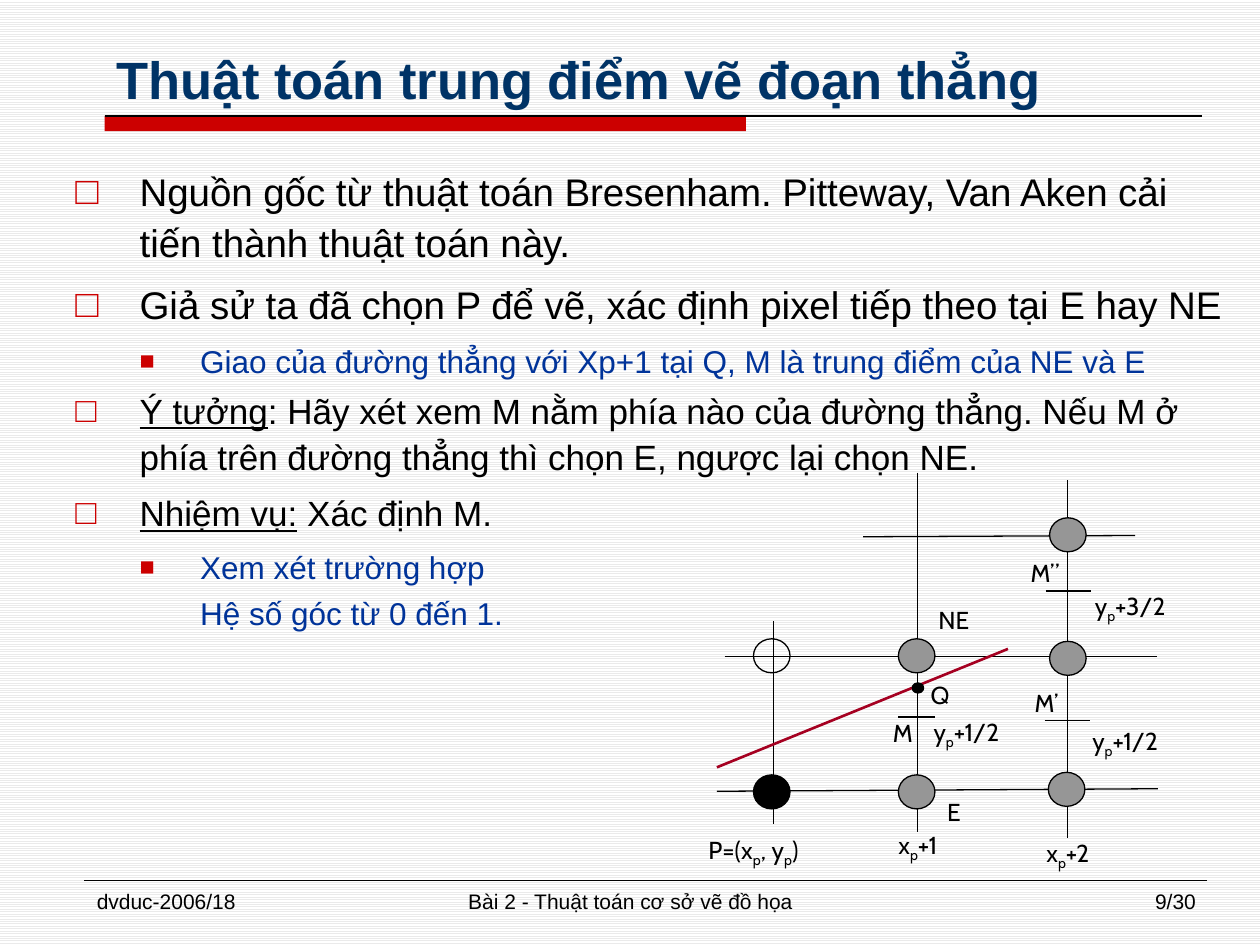
from dataclasses import dataclass
from typing import Any, Optional

from lxml import etree
from pptx import Presentation
from pptx import util as u
from pptx.dml import color
from pptx.enum import dml, shapes, text
from pptx.oxml import ns


@dataclass(frozen=True)
class Theme:
    """Colours, fonts and type sizes of the slide."""
    ink: str = "000000"
    heading: str = "003366"
    detail: str = "003399"
    accent: str = "CC0000"
    slope: str = "A50021"
    pixel: str = "969696"
    paper: str = "FFFFFF"
    stripe: str = "EAEAEA"
    body_font: str = "Arial"
    label_font: str = "Cabin"
    title_size: float = 30
    label_size: float = 14
    footer_size: float = 12


THEME = Theme()
LEFT, CENTER, RIGHT = text.PP_ALIGN.LEFT, text.PP_ALIGN.CENTER, text.PP_ALIGN.RIGHT


@dataclass(frozen=True)
class Point:
    """One outline entry, with an optional underlined lead."""
    words: str
    size: float
    lead: str = ""
    level: int = 0
    bullet: bool = True


@dataclass(frozen=True)
class Segment:
    """A straight line between two points."""
    x1: float
    y1: float
    x2: float
    y2: float
    ink: str = THEME.ink
    weight: float = 0.75


@dataclass(frozen=True)
class Dot:
    """An ellipse given by its corner; no fill means hollow."""
    x: float
    y: float
    fill: Optional[str] = THEME.pixel
    width: float = 0.29
    height: float = 0.27


@dataclass(frozen=True)
class Caption:
    """A single-line text; "_p" marks a subscript p."""
    words: str
    x: float
    y: float
    width: float
    height: float = 0.4
    align: Any = CENTER
    font: str = THEME.label_font
    size: float = THEME.label_size
    ink: str = THEME.ink
    bold: bool = False
    anchor: Any = text.MSO_ANCHOR.TOP


OUTLINE = [
    Point("Nguồn gốc từ thuật toán Bresenham. Pitteway, Van Aken cải tiến thành thuật toán này.", 22),
    Point("Giả sử ta đã chọn P để vẽ, xác định pixel tiếp theo tại E hay NE", 22),
    Point("Giao của đường thẳng với Xp+1 tại Q, M là trung điểm của NE và E", 18, level=1),
    Point(": Hãy xét xem M nằm phía nào của đường thẳng. Nếu M ở phía trên đường thẳng "
          "thì chọn E, ngược lại chọn NE.", 20, lead="Ý tưởng"),
    Point(" Xác định M.", 20, lead="Nhiệm vụ:"),
    Point("Xem xét trường hợp", 18, level=1),
    Point("Hệ số góc từ 0 đến 1.", 18, level=1, bullet=False),
]
GRID = [
    Segment(6.85, 4.26, 9.01, 4.25), Segment(8.47, 3.81, 8.47, 6.65),
    Segment(5.69, 6.28, 9.19, 6.26), Segment(5.75, 5.21, 9.18, 5.21),
    Segment(6.14, 4.93, 6.14, 6.54), Segment(7.28, 3.75, 7.28, 6.6),
    Segment(5.69, 6.09, 8, 5.15, THEME.slope, 1.5),
]
MIDPOINT_TICKS = [
    Segment(7.13, 5.69, 7.42, 5.69), Segment(8.29, 5.72, 8.65, 5.72),
    Segment(8.3, 4.69, 8.66, 4.69),
]
PIXELS = [
    Dot(5.98, 6.15, THEME.ink), Dot(7.13, 5.07), Dot(7.13, 6.15), Dot(5.98, 5.07, None),
    Dot(7.24, 5.42, THEME.ink, 0.09, 0.08),
    Dot(8.33, 5.09), Dot(8.32, 6.13), Dot(8.33, 4.11),
]
LABELS = [
    Caption("P=(x_p, y_p)", 5.33, 6.58, 1.3), Caption("E", 7.28, 6.28, 0.58),
    Caption("NE", 7.28, 4.75, 0.58), Caption("M", 6.95, 5.65, 0.43),
    Caption("Q", 7.17, 5.35, 0.58), Caption("x_p+1", 6.85, 6.54, 0.87),
    Caption("y_p+1/2", 7.02, 5.64, 1.3), Caption("y_p+1/2", 8.28, 5.71, 1.3),
    Caption("y_p+3/2", 8.32, 4.64, 1.3), Caption("M’", 8.02, 5.41, 0.57),
    Caption("M”", 8.01, 4.38, 0.57), Caption("x_p+2", 8.04, 6.6, 0.87),
]
FOOTER = [
    Caption(words, x, 7, width, 0.35, align, THEME.body_font, THEME.footer_size)
    for words, x, width, align in [
        ("dvduc-2006/18", 0.67, 2.17, LEFT),
        ("Bài 2 - Thuật toán cơ sở vẽ đồ họa", 3.42, 3.17, CENTER),
        ("9/30", 7.42, 2.17, RIGHT),
    ]
]
TITLE = Caption("Thuật toán trung điểm vẽ đoạn thẳng", 0.83, 0.17, 9, 0.75, LEFT,
                THEME.body_font, THEME.title_size, THEME.heading, True,
                text.MSO_ANCHOR.BOTTOM)


def rgb(code: str) -> color.RGBColor:
    """Turn a hex code into a colour."""
    return color.RGBColor.from_string(code)


def apply(target: Any, values: dict) -> None:
    """Set every format value on the target."""
    for name, value in values.items():
        setattr(target, name, value)


def add_run(paragraph: Any, words: str, font: str, size: float, ink: str, **extra: Any) -> Any:
    """Append a formatted run."""
    run = paragraph.add_run()
    run.text = words
    apply(run.font, {"name": font, "size": u.Pt(size), **extra})
    run.font.color.rgb = rgb(ink)
    return run


def add_frame(parent: Any, x: float, y: float, width: float, height: float) -> Any:
    """Add a wrapping text box and return its frame."""
    frame = parent.add_textbox(*map(u.Inches, (x, y, width, height))).text_frame
    frame.word_wrap = True
    return frame


def add_caption(parent: Any, item: Caption) -> None:
    """Draw a caption, lowering each marked p."""
    frame = add_frame(parent, item.x, item.y, item.width, item.height)
    frame.vertical_anchor = item.anchor
    paragraph = frame.paragraphs[0]
    paragraph.alignment = item.align
    style = (item.font, item.size, item.ink)
    for index, part in enumerate(item.words.split("_p")):
        if index:
            sub = add_run(paragraph, "p", *style)
            sub._r.get_or_add_rPr().set("baseline", "-25000")
        add_run(paragraph, part, *style, bold=item.bold)


def add_segment(parent: Any, item: Segment) -> None:
    """Draw a straight line without shadow."""
    ends = map(u.Inches, (item.x1, item.y1, item.x2, item.y2))
    line = parent.add_connector(shapes.MSO_CONNECTOR.STRAIGHT, *ends)
    line.line.color.rgb = rgb(item.ink)
    line.line.width = u.Pt(item.weight)
    etree.SubElement(line._element.spPr, ns.qn("a:effectLst"))


def add_dot(parent: Any, item: Dot) -> None:
    """Draw a pixel or crossing point."""
    box = map(u.Inches, (item.x, item.y, item.width, item.height))
    dot = parent.add_shape(shapes.MSO_SHAPE.OVAL, *box)
    dot.shadow.inherit = False
    dot.line.color.rgb = rgb(THEME.ink)
    dot.line.width = u.Pt(0.75)
    if item.fill:
        dot.fill.solid()
        dot.fill.fore_color.rgb = rgb(item.fill)
    else:
        dot.fill.background()


def add_outline(parent: Any) -> None:
    """Write the bulleted outline."""
    frame = add_frame(parent, 0.5, 1.25, 9.33, 5.58)
    for index, point in enumerate(OUTLINE):
        paragraph = frame.add_paragraph() if index else frame.paragraphs[0]
        gap = u.Pt(0.15 * point.size)
        apply(paragraph, {"level": point.level, "line_spacing": 1.1, "space_before": gap,
                          "space_after": u.Pt(0) if point.level else gap})
        left, hang, mark, scale = [(0.51, 0.51, "□", 100), (0.99, 0.48, "■", 80)][point.level]
        props = paragraph._p.get_or_add_pPr()
        props.set("marL", str(u.Inches(left)))
        props.set("indent", str(-u.Inches(hang) if point.bullet else 0))
        if point.bullet:
            tint = etree.SubElement(props, ns.qn("a:buClr"))
            etree.SubElement(tint, ns.qn("a:srgbClr"), val=THEME.accent)
            etree.SubElement(props, ns.qn("a:buSzPct"), val=str(scale * 1000))
            etree.SubElement(props, ns.qn("a:buFont"), typeface=THEME.body_font)
            etree.SubElement(props, ns.qn("a:buChar"), char=mark)
        else:
            etree.SubElement(props, ns.qn("a:buNone"))
        style = (THEME.body_font, point.size, THEME.detail if point.level else THEME.ink)
        if point.lead:
            add_run(paragraph, point.lead, *style, underline=True)
        add_run(paragraph, point.words, *style)


def add_backdrop(slide: Any) -> None:
    """Draw the striped background, title bar and rules."""
    fill = slide.background.fill
    fill.patterned()
    fill.pattern = dml.MSO_PATTERN.LIGHT_HORIZONTAL
    fill.fore_color.rgb, fill.back_color.rgb = rgb(THEME.stripe), rgb(THEME.paper)
    bar = slide.shapes.add_shape(shapes.MSO_SHAPE.RECTANGLE,
                                 *map(u.Inches, (0.83, 0.92, 5.09, 0.12)))
    bar.shadow.inherit = False
    bar.fill.solid()
    bar.fill.fore_color.rgb = rgb(THEME.accent)
    bar.line.fill.background()
    add_segment(slide.shapes, Segment(0.83, 0.92, 9.54, 0.92))
    add_segment(slide.shapes, Segment(0.67, 6.99, 9.58, 6.99, weight=0.25))


def main() -> None:
    """Build and save the slide."""
    deck = Presentation()
    apply(deck, {"slide_width": u.Inches(10), "slide_height": u.Inches(7.5)})
    slide = deck.slides.add_slide(deck.slide_layouts[6])
    add_backdrop(slide)
    add_caption(slide.shapes, TITLE)
    add_outline(slide.shapes)
    diagram = slide.shapes.add_group_shape().shapes
    for draw, items in [(add_segment, GRID + MIDPOINT_TICKS), (add_dot, PIXELS),
                        (add_caption, LABELS)]:
        for item in items:
            draw(diagram, item)
    for item in FOOTER:
        add_caption(slide.shapes, item)
    deck.save("out.pptx")


main()
